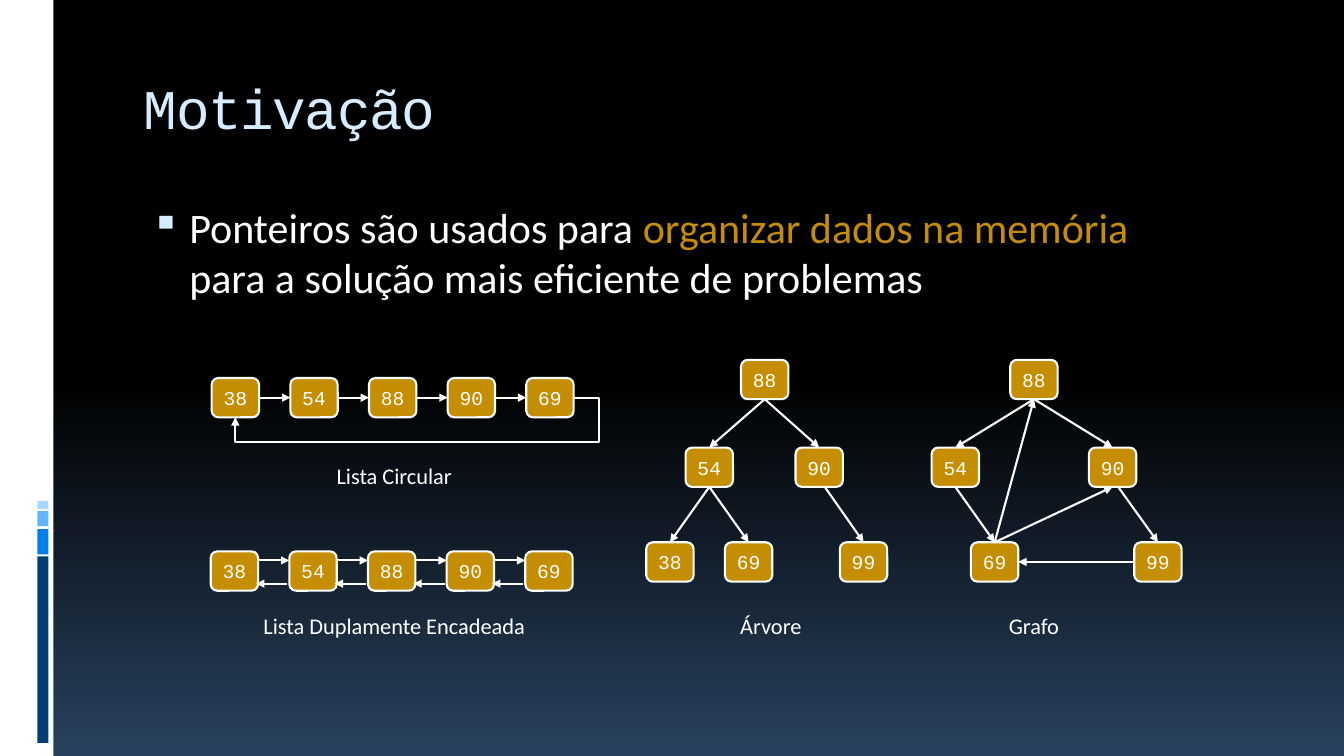
from lxml import etree
from pptx import Presentation
from pptx.dml.color import RGBColor
from pptx.enum.shapes import MSO_CONNECTOR, MSO_SHAPE
from pptx.enum.text import MSO_ANCHOR, PP_ALIGN
from pptx.oxml.ns import qn
from pptx.util import Inches, Pt

STRAIGHT, ELBOW = MSO_CONNECTOR.STRAIGHT, MSO_CONNECTOR.ELBOW
RECTANGLE, ROUNDED = MSO_SHAPE.RECTANGLE, MSO_SHAPE.ROUNDED_RECTANGLE
CENTER, LEFT = PP_ALIGN.CENTER, PP_ALIGN.LEFT
MIDDLE = MSO_ANCHOR.MIDDLE

COLORS = {
    "white": "FFFFFF", "gold": "C58D01", "ice": "D6ECFF",
    "black": "000000", "night": "28415E",
}
SIDEBAR = [
    (0, 0, 0.53, 7.5, "FFFFFF"), (0.37, 5.52, 0.11, 1.85, "003F75"),
    (0.37, 5.25, 0.11, 0.25, "007EEB"), (0.37, 5.07, 0.11, 0.15, "61B6FF"),
    (0.37, 4.97, 0.11, 0.08, "A7D6FF"),
]
BODY_FONT, CODE_FONT = "Calibri", "Courier New"
NODE_WIDTH, NODE_HEIGHT, NODE_STEP = 0.47, 0.39, 0.78
ANCHORS = {
    "top": (NODE_WIDTH / 2, 0), "bottom": (NODE_WIDTH / 2, NODE_HEIGHT),
    "bottom right": (0.29, NODE_HEIGHT),
    "left": (0, NODE_HEIGHT / 2), "right": (NODE_WIDTH, NODE_HEIGHT / 2),
}
LIST_VALUES = ["38", "54", "88", "90", "69"]
TREE_NODES = {"38": (6.41, 5.38), "54": (6.8, 4.44), "88": (7.35, 3.57),
              "90": (7.89, 4.44), "69": (7.19, 5.38), "99": (8.33, 5.38)}
TREE_EDGES = [
    ("54", "bottom", "38", "top"), ("88", "bottom", "54", "top"),
    ("88", "bottom", "90", "top"), ("54", "bottom", "69", "top"),
    ("90", "bottom right", "99", "top"),
]
GRAPH_NODES = {"54": (9.24, 4.44), "88": (10.02, 3.57), "90": (10.8, 4.44),
               "69": (9.63, 5.38), "99": (11.25, 5.38)}
GRAPH_EDGES = [
    ("69", "top", "90", "bottom"), ("88", "bottom", "54", "top"),
    ("88", "bottom", "90", "top"), ("54", "bottom", "69", "top"),
    ("90", "bottom right", "99", "top"), ("99", "left", "69", "right"),
    ("69", "top", "88", "bottom"),
]
CAPTIONS = [
    ("Lista Circular", 2.88, 4.54, 2.06),
    ("Lista Duplamente Encadeada", 2.34, 6.02, 3.14),
    ("Árvore", 7.02, 6.02, 1.25), ("Grafo", 9.73, 6.02, 1.05),
]


def rgb(color):
    """Return the colour for a hex string."""
    return RGBColor.from_string(color)


def format_run(run, size, font, color):
    """Set size, font and colour of a run."""
    run.font.size = Pt(size)
    run.font.name = font
    run.font.color.rgb = rgb(color)


def set_background(slide):
    """Fill the slide with a vertical gradient."""
    fill = slide.background.fill
    fill.gradient()
    fill.gradient_angle = 270
    for stop, position, name in zip(fill.gradient_stops, (0.5, 1), ("black", "night")):
        stop.position = position
        stop.color.rgb = rgb(COLORS[name])


def add_bar(slide, left, top, width, height, color):
    """Add a plain rectangle of the sidebar."""
    shape = slide.shapes.add_shape(
        RECTANGLE, Inches(left), Inches(top), Inches(width), Inches(height))
    shape.shadow.inherit = False
    shape.fill.solid()
    shape.fill.fore_color.rgb = rgb(color)
    shape.line.fill.background()


def add_text(slide, text, box, size, font, color, alignment=LEFT):
    """Add a wrapping one-paragraph text box and return it."""
    shape = slide.shapes.add_textbox(*map(Inches, box))
    shape.text_frame.word_wrap = True
    shape.text_frame.text = text
    paragraph = shape.text_frame.paragraphs[0]
    paragraph.alignment = alignment
    format_run(paragraph.runs[0], size, font, color)
    return shape


def add_title(slide, text):
    """Add the slide title with slightly tightened letters."""
    shape = add_text(slide, text, (1.33, 0.56, 11.33, 1), 40, CODE_FONT, COLORS["ice"])
    shape.text_frame.vertical_anchor = MIDDLE
    run = shape.text_frame.paragraphs[0].runs[0]
    run.font._element.set("spc", "-100")


def add_statement(slide):
    """Add the bulleted statement with its highlighted phrase."""
    shape = add_text(slide, "Ponteiros são usados para ", (1.33, 1.95, 11.33, 5),
                     30, BODY_FONT, COLORS["white"])
    paragraph = shape.text_frame.paragraphs[0]
    highlight = paragraph.add_run()
    highlight.text = "organizar dados na memória "
    format_run(highlight, 30, BODY_FONT, COLORS["gold"])
    paragraph.add_line_break()
    ending = paragraph.add_run()
    ending.text = "para a solução mais eficiente de problemas"
    format_run(ending, 30, BODY_FONT, COLORS["white"])
    paragraph.space_before = Pt(7)
    properties = paragraph._p.get_or_add_pPr()
    properties.set("marL", str(Inches(0.45)))
    properties.set("indent", str(Inches(-0.38)))
    bullet_color = etree.SubElement(properties, qn("a:buClr"))
    etree.SubElement(bullet_color, qn("a:srgbClr"), val=COLORS["ice"])
    etree.SubElement(properties, qn("a:buSzPct"), val="95000")
    etree.SubElement(properties, qn("a:buChar"), char="▪")


def add_node(group, value, position):
    """Add a rounded box holding a value."""
    left, top = position
    shape = group.shapes.add_shape(
        ROUNDED, Inches(left), Inches(top), Inches(NODE_WIDTH), Inches(NODE_HEIGHT))
    shape.shadow.inherit = False
    shape.fill.solid()
    shape.fill.fore_color.rgb = rgb(COLORS["gold"])
    shape.line.color.rgb = rgb(COLORS["white"])
    shape.line.width = Pt(1.5)
    frame = shape.text_frame
    frame.word_wrap = False
    frame.vertical_anchor = MIDDLE
    frame.text = value
    frame.paragraphs[0].alignment = CENTER
    format_run(frame.paragraphs[0].runs[0], 14, CODE_FONT, COLORS["white"])


def add_arrow(group, start, end, kind=STRAIGHT):
    """Add a connector with an arrowhead at its end and return it."""
    connector = group.shapes.add_connector(kind, *map(Inches, (*start, *end)))
    connector.line.color.rgb = rgb(COLORS["white"])
    connector.line.width = Pt(1.5)
    etree.SubElement(connector.line._get_or_add_ln(), qn("a:tailEnd"), type="triangle")
    etree.SubElement(connector._element.spPr, qn("a:effectLst"))
    return connector


def add_return_arrow(group, start, end):
    """Add the bent arrow that leads under the list back to its first node."""
    connector = add_arrow(group, start, end, ELBOW)
    geometry = connector._element.spPr.find(qn("a:prstGeom"))
    geometry.set("prst", "bentConnector4")
    adjustments = geometry.find(qn("a:avLst"))
    for name, value in (("adj1", -7400), ("adj2", 228000)):
        etree.SubElement(adjustments, qn("a:gd"), name=name, fmla=f"val {value}")


def anchor(position, side):
    """Return the point on the given side of a node."""
    return tuple(start + shift for start, shift in zip(position, ANCHORS[side]))


def add_network(slide, nodes, edges):
    """Add a group of nodes joined by arrows and return it."""
    group = slide.shapes.add_group_shape()
    for value, position in nodes.items():
        add_node(group, value, position)
    for source, source_side, target, target_side in edges:
        add_arrow(group, anchor(nodes[source], source_side),
                  anchor(nodes[target], target_side))
    return group


def list_nodes(left, top):
    """Return the positions of the list values in an even row."""
    return {value: (left + index * NODE_STEP, top)
            for index, value in enumerate(LIST_VALUES)}


def add_circular_list(slide):
    """Add the list whose last node points to the first."""
    nodes = list_nodes(2.1, 3.75)
    edges = [(source, "right", target, "left")
             for source, target in zip(LIST_VALUES, LIST_VALUES[1:])]
    group = add_network(slide, nodes, edges)
    add_return_arrow(group, anchor(nodes["69"], "right"), anchor(nodes["38"], "bottom"))


def add_double_list(slide):
    """Add the list with arrows in both directions."""
    nodes = list_nodes(2.09, 5.47)
    group = add_network(slide, nodes, [])
    for left, top in list(nodes.values())[:-1]:
        right = left + NODE_WIDTH
        add_arrow(group, (right, top + 0.09), (left + NODE_STEP, top + 0.09))
        add_arrow(group, (left + NODE_STEP - 0.02, top + 0.32), (right - 0.02, top + 0.32))


def main():
    """Build the slide and save it."""
    presentation = Presentation()
    presentation.slide_width, presentation.slide_height = Inches(13.33), Inches(7.5)
    slide = presentation.slides.add_slide(presentation.slide_layouts[6])
    set_background(slide)
    for bar in SIDEBAR:
        add_bar(slide, *bar)
    add_statement(slide)
    add_title(slide, "Motivação")
    add_circular_list(slide)
    add_double_list(slide)
    add_network(slide, TREE_NODES, TREE_EDGES)
    add_network(slide, GRAPH_NODES, GRAPH_EDGES)
    for text, left, top, width in CAPTIONS:
        add_text(slide, text, (left, top, width, 0.37), 16, BODY_FONT, COLORS["white"], CENTER)
    presentation.save("out.pptx")


main()
